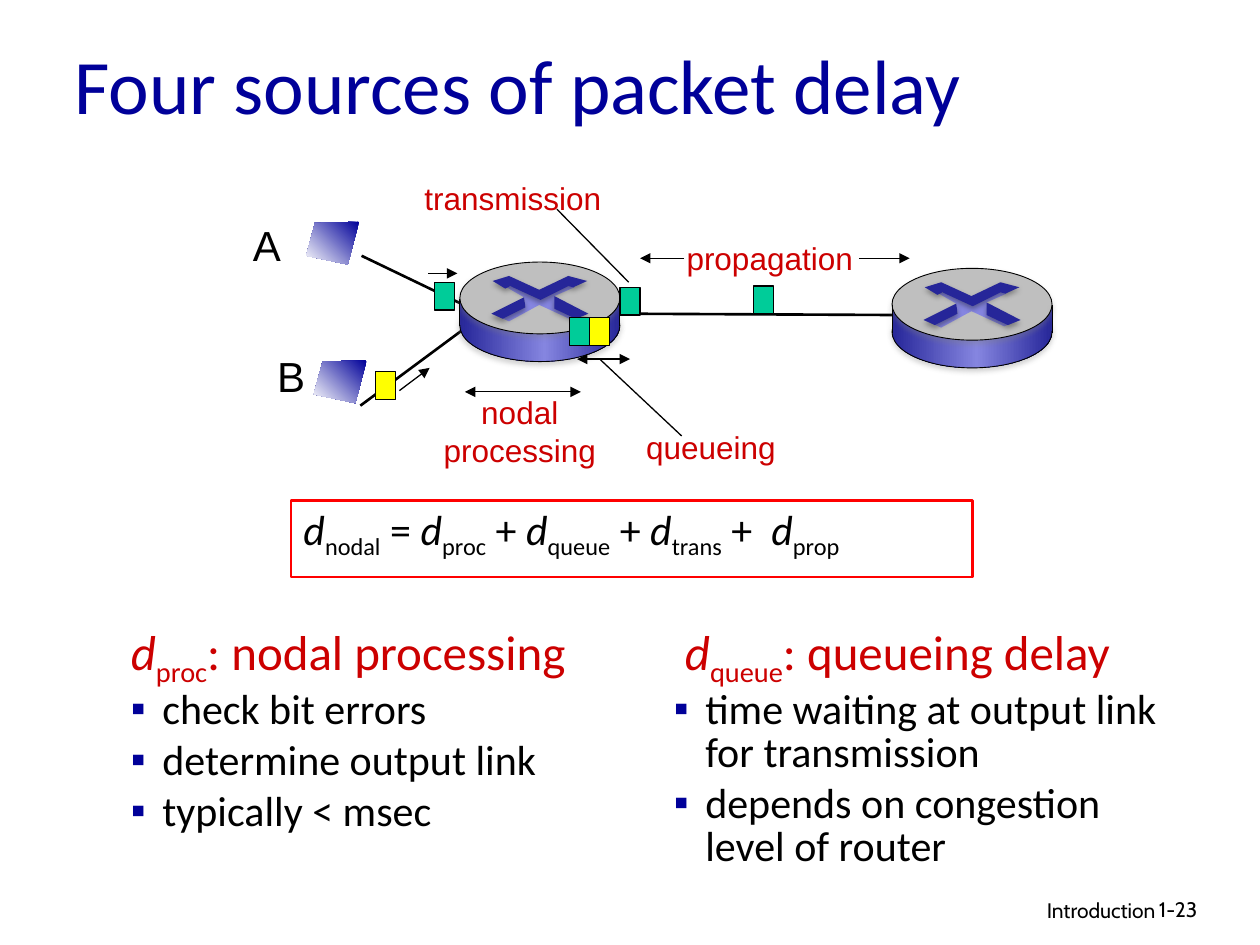
from lxml import etree
from pptx import Presentation
from pptx.dml.color import RGBColor
from pptx.enum.shapes import MSO_CONNECTOR, MSO_SHAPE
from pptx.enum.text import MSO_ANCHOR, PP_ALIGN
from pptx.oxml.ns import qn
from pptx.util import Inches, Pt

RECT, OVAL, LINE = MSO_SHAPE.RECTANGLE, MSO_SHAPE.OVAL, MSO_CONNECTOR.STRAIGHT
TOP, MID = MSO_ANCHOR.TOP, MSO_ANCHOR.MIDDLE
LEFT, MIDDLE, RIGHT = PP_ALIGN.LEFT, PP_ALIGN.CENTER, PP_ALIGN.RIGHT

HUES = {"black": "000000", "navy": "000099", "red": "CC0000", "frame": "FF0000",
        "green": "00CC99", "yellow": "FFFF00", "white": "FFFFFF", "top": "BFBFBF",
        "dark": "262699", "light": "8585E0", "gray": "808080"}

# Content: runs are (text, style), with i = italic and s = subscript
SUM = [("d", "i"), ("nodal", "s"), (" = ", ""), ("d", "i"), ("proc", "s"), (" + ", ""),
       ("d", "i"), ("queue", "s"), (" + ", ""), ("d", "i"), ("trans", "s"),
       (" +  ", ""), ("d", "i"), ("prop", "s")]
LISTS = [
    (0.94, 1.79, [("d", "i"), ("proc", "s"), (": nodal processing", "")],
     ["check bit errors", "determine output link", "typically < msec"]),
    (5.25, 2.39, [(" ", ""), ("d", "i"), ("queue", "s"), (": queueing delay", "")],
     ["time waiting at output link for transmission",
      "depends on congestion level of router"]),
]
# Labels: box, lines, font, size, colour, alignment, anchor
LABELS = [
    ((0.49, 0.22, 8.5, 0.89), ["Four sources of packet delay"], "Calibri", 44, "navy", LEFT, MID),
    ((6.1, 7.07, 3.17, 0.31), ["Introduction"], "Cabin", 12, "black", RIGHT, TOP),
    ((9.1, 7.07, 0.74, 0.3), ["1-23"], "Cabin", 12, "black", LEFT, TOP),
    ((1.91, 1.69, 0.44, 0.5), ["A"], "Arial", 24, "black", LEFT, TOP),
    ((2.1, 2.73, 0.42, 0.5), ["B"], "Arial", 24, "black", LEFT, TOP),
    ((3.27, 1.37, 1.6, 0.4), ["transmission"], "Arial", 18, "red", LEFT, TOP),
    ((5.35, 1.85, 1.52, 0.4), ["propagation"], "Arial", 18, "red", LEFT, TOP),
    ((3.42, 3.07, 1.41, 0.7), ["nodal", "processing"], "Arial", 18, "red", MIDDLE, TOP),
    ((5.03, 3.35, 1.23, 0.4), ["queueing"], "Arial", 18, "red", LEFT, TOP),
]
# Lines: x1, y1, x2, y2
LINKS = [(2.87, 2.03, 3.68, 2.42), (2.86, 3.22, 3.67, 2.62), (4.97, 2.49, 7.09, 2.5)]
LEADS = [(4.42, 1.66, 4.99, 2.24), (5.41, 3.46, 4.76, 2.85)]
ONEWAY = [(6.82, 2.05, 7.22, 2.05), (5.43, 2.05, 5.08, 2.05),
          (3.4, 2.17, 3.63, 2.17), (3.17, 3.1, 3.41, 2.92)]
TWOWAY = [(4.61, 3.11, 3.69, 3.11), (5, 2.85, 4.58, 2.85)]
PACKETS = [(3.45, 2.24, "green"), (4.52, 2.52, "green"), (4.68, 2.52, "yellow"),
           (4.92, 2.28, "green"), (5.98, 2.27, "green"), (2.98, 2.95, "yellow")]
HOSTS = [(2.43, 1.76), (2.49, 2.86)]
ROUTERS = [(3.65, 2.08), (7.08, 2.13)]

# Outlines, measured from the top left of the host or router
SCREEN = [(0.42, 0), (0.07, 0.01), (0, 0.27), (0.33, 0.34)]
CROSS = [(0.63, 0.34), (0.39, 0.47), (0.32, 0.44), (0.52, 0.36), (0.51, 0.28),
         (0.37, 0.2), (0.42, 0.19), (0.63, 0.29), (0.85, 0.18), (0.91, 0.2),
         (0.75, 0.27), (0.78, 0.38), (0.94, 0.44), (0.89, 0.46)]
ARMS = [
    [(0.26, 0.15), (0.39, 0.11), (0.63, 0.22), (0.86, 0.11), (1.01, 0.15),
     (0.9, 0.2), (0.86, 0.19), (0.64, 0.3), (0.4, 0.19), (0.36, 0.21)],
    [(0.75, 0.27), (1.02, 0.41), (0.92, 0.45), (0.75, 0.37)],
    [(0.51, 0.28), (0.52, 0.36), (0.34, 0.45), (0.25, 0.41)],
]
STEEL = [(0, "dark"), (53, "light"), (100, "dark")]
GLOW = [(0, "navy"), (100, "white")]

deck = Presentation()
deck.slide_width, deck.slide_height = Inches(10), Inches(7.5)
shapes = deck.slides.add_slide(deck.slide_layouts[6]).shapes


def rgb(name):
    return RGBColor.from_string(HUES[name])


def node(base, tag, **attrs):
    return etree.SubElement(base, qn("a:" + tag), attrs)


def paint(shape, fill=None, line=None, width=0.75, turn=0, shade=None):
    """Fill is a colour name or a list of gradient stops."""
    if isinstance(fill, list):
        shape.fill.gradient()
        shape.fill.gradient_angle = turn
        stops = shape._element.spPr.find(".//" + qn("a:gsLst"))
        for old in list(stops):
            stops.remove(old)
        for pos, name in fill:
            node(node(stops, "gs", pos=str(pos * 1000)), "srgbClr", val=HUES[name])
    elif fill:
        shape.fill.solid()
        shape.fill.fore_color.rgb = rgb(fill)
    else:
        shape.fill.background()
    if line:
        shape.line.color.rgb = rgb(line)
        shape.line.width = Pt(width)
    else:
        shape.line.fill.background()
    shape.shadow.inherit = False
    if shade:
        cast(shape._element.spPr.find(qn("a:effectLst")), shade)


def cast(base, shade):
    drop = node(base, "outerShdw", blurRad=str(Pt(3.1)), dist=str(Pt(1.8)), dir="5400000")
    node(node(drop, "srgbClr", val=HUES[shade]), "alpha", val="35000")


def block(kind, box, *args, **looks):
    shape = shapes.add_shape(kind, *map(Inches, box))
    paint(shape, *args, **looks)
    return shape


def outline(x, y, points, *args, **looks):
    spots = [(Inches(x + dx), Inches(y + dy)) for dx, dy in points]
    pen = shapes.build_freeform(*spots[0], scale=1.0)
    pen.add_line_segments(spots[1:], close=True)
    paint(pen.convert_to_shape(), *args, **looks)


def rule(ends, width=0.75, heads=(), shade=None):
    line = shapes.add_connector(LINE, *map(Inches, ends))
    line.line.color.rgb = rgb("black")
    line.line.width = Pt(width)
    for tag in heads:
        node(line.line._get_or_add_ln(), tag, type="triangle")
    effects = node(line._element.spPr, "effectLst")
    if shade:
        cast(effects, shade)


def frame(box, wrap=True):
    area = shapes.add_textbox(*map(Inches, box)).text_frame
    area.word_wrap = wrap
    return area


def write(para, runs, font, size, color):
    for text, style in runs:
        run = para.add_run()
        run.text = text
        run.font.name, run.font.size = font, Pt(size)
        run.font.color.rgb = rgb(color)
        run.font.italic = style == "i"
        if style == "s":
            run.font._element.set("baseline", "-25000")


def indent(para, inches, bullet=False):
    props = para._p.get_or_add_pPr()
    props.set("marL", str(Inches(inches)))
    props.set("indent", str(-Inches(inches)))
    if bullet:
        node(node(props, "buClr"), "srgbClr", val=HUES["navy"])
        node(props, "buFont", typeface="Arial")
        node(props, "buChar", char="▪")
        para.space_before = Pt(4.8)
    para.line_spacing = 0.85


def router(x, y):
    block(OVAL, (x, y + 0.22, 1.27, 0.57), STEEL, "black", 0.5, shade="gray")
    block(RECT, (x, y + 0.29, 1.27, 0.21), STEEL)
    block(OVAL, (x, y, 1.27, 0.57), "top", "black", 0.5, shade="gray")
    outline(x, y, CROSS, "light")
    for arm in ARMS:
        outline(x, y, arm, "dark", shade="black")
    for side in (x, x + 1.27):
        rule((side, y + 0.51, side, y + 0.29), 0.5, shade="gray")


# Network: links, routers, hosts and packets
for ends in LINKS:
    rule(ends, 1.5)
for x, y in ROUTERS:
    router(x, y)
for x, y in HOSTS:
    outline(x, y, SCREEN, GLOW, turn=225)
for x, y, color in PACKETS:
    block(RECT, (x, y, 0.16, 0.22), color, "black")

# Arrows and leader lines
for group, heads in ((LEADS, ()), (ONEWAY, ("tailEnd",)), (TWOWAY, ("headEnd", "tailEnd"))):
    for ends in group:
        rule(ends, heads=heads)

# Title, labels and footer
for box, lines, font, size, color, align, anchor in LABELS:
    area = frame(box, font != "Arial")
    area.vertical_anchor = anchor
    for n, text in enumerate(lines):
        para = area.add_paragraph() if n else area.paragraphs[0]
        para.alignment = align
        write(para, [(text, "")], font, size, color)

# Delay sum
area = block(RECT, (2.31, 3.97, 5.41, 0.61), None, "frame", 1.5).text_frame
area.vertical_anchor = TOP
para = area.paragraphs[0]
para.alignment = LEFT
indent(para, 0.31)
write(para, SUM, "Calibri", 24, "black")

# Two lists
for x, high, head, items in LISTS:
    area = frame((x, 4.91, 4.17, high))
    indent(area.paragraphs[0], 0.38)
    write(area.paragraphs[0], head, "Calibri", 28, "red")
    for item in items:
        para = area.add_paragraph()
        indent(para, 0.25, bullet=True)
        write(para, [(item, "")], "Calibri", 24, "black")

deck.save("out.pptx")
